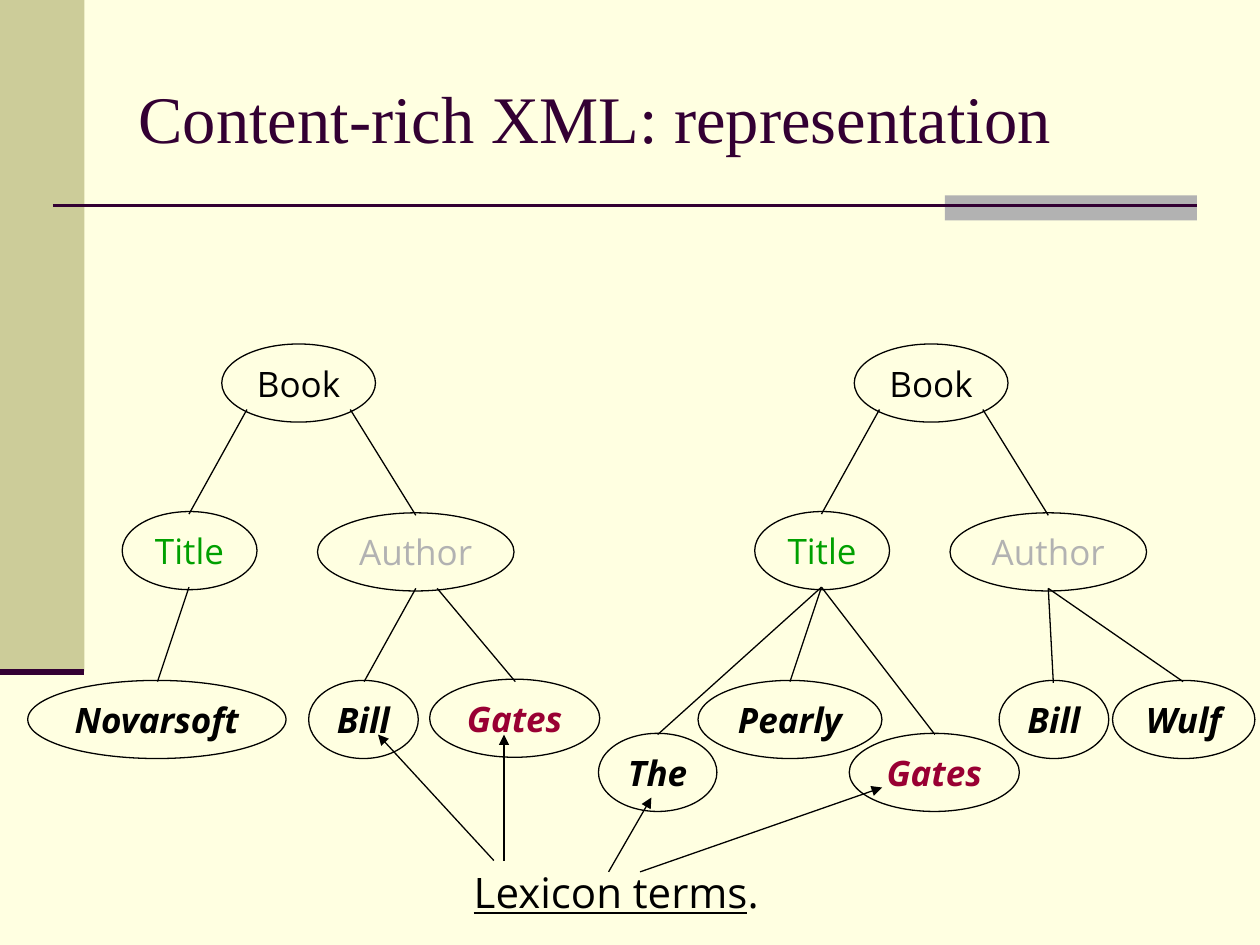
"""Build a slide that shows two book records as trees with their lexicon terms."""
from lxml.etree import SubElement
from pptx import Presentation
from pptx.dml.color import RGBColor
from pptx.enum.shapes import MSO_CONNECTOR as Connector, MSO_SHAPE as Shape
from pptx.enum.text import MSO_ANCHOR as Anchor, MSO_AUTO_SIZE as AutoSize, PP_ALIGN as Align
from pptx.oxml.ns import qn
from pptx.util import Pt

PX = 9144
COLORS = {
    "background": "FFFFE1", "sidebar": "CCCC99", "gray": "B2B2B2", "plum": "330033",
    "black": "000000", "green": "00A000", "red": "990033",
}


def write(frame, text, size=20, font="Open Sans", color="black", bold=False, italic=False,
          underline=False, align=Align.CENTER, anchor=Anchor.MIDDLE, wrap=False):
    frame.auto_size = AutoSize.NONE
    frame.word_wrap = wrap
    frame.vertical_anchor = anchor
    paragraph = frame.paragraphs[0]
    paragraph.alignment = align
    run = paragraph.add_run()
    run.text = text
    run.font.size = Pt(size)
    run.font.name = font
    run.font.bold = bold
    run.font.italic = italic
    run.font.underline = underline
    run.font.color.rgb = RGBColor.from_string(COLORS[color])


def draw_line(x1, y1, x2, y2, color="black", width=0.75, arrow=False):
    connector = slide.shapes.add_connector(
        Connector.STRAIGHT, x1 * PX, y1 * PX, x2 * PX, y2 * PX)
    connector.line.color.rgb = RGBColor.from_string(COLORS[color])
    connector.line.width = Pt(width)
    if arrow:
        SubElement(connector.line._get_or_add_ln(), qn("a:tailEnd"), type="triangle")
    SubElement(connector._element.spPr, qn("a:effectLst"))


presentation = Presentation()
presentation.slide_width = 1000 * PX
presentation.slide_height = 750 * PX
slide = presentation.slides.add_slide(presentation.slide_layouts[5])
slide.background.fill.solid()
slide.background.fill.fore_color.rgb = RGBColor.from_string(COLORS["background"])

for left, top, width, height, color in [
    (0, 0, 67, 533, "sidebar"),
    (750, 155, 200, 20, "gray"),
]:
    block = slide.shapes.add_shape(
        Shape.RECTANGLE, left * PX, top * PX, width * PX, height * PX)
    block.shadow.inherit = False
    block.fill.solid()
    block.fill.fore_color.rgb = RGBColor.from_string(COLORS[color])
    block.line.fill.background()
draw_line(42, 163, 950, 163, "plum", 1.5)
draw_line(0, 533, 67, 533, "plum", 3.5)

title = slide.shapes.title
title.left, title.top, title.width, title.height = 100 * PX, 30 * PX, 850 * PX, 125 * PX
write(title.text_frame, "Content-rich XML: representation", size=38,
      font="Times New Roman", color="plum", align=Align.LEFT, wrap=True)

nodes = [
    ("Novarsoft", 22, 540, 205, "black", True),
    ("Bill", 245, 540, 87, "black", True),
    ("Gates", 341, 539, 135, "red", True),
    ("The", 475, 582, 94, "black", True),
    ("Pearly", 554, 540, 146, "black", True),
    ("Gates", 674, 582, 135, "red", True),
    ("Bill", 793, 540, 87, "black", True),
    ("Wulf", 883, 540, 113, "black", True),
]
edges = [
    (330, 467, 289, 541), (347, 467, 409, 541),
    (652, 466, 522, 583), (652, 466, 742, 583),
    (832, 467, 836, 542), (832, 467, 939, 541),
]
for tree_left in (0, 502):
    nodes += [
        ("Book", tree_left + 176, 273, 122, "black", False),
        ("Title", tree_left + 97, 406, 107, "green", False),
        ("Author", tree_left + 252, 407, 156, "gray", False),
    ]
    edges += [
        (tree_left + 196, 325, tree_left + 150, 408),
        (tree_left + 278, 325, tree_left + 330, 409),
        (tree_left + 150, 466, tree_left + 125, 541),
    ]

for text, left, top, width, color, is_term in nodes:
    ellipse = slide.shapes.add_shape(Shape.OVAL, left * PX, top * PX, width * PX, 62 * PX)
    ellipse.shadow.inherit = False
    ellipse.fill.background()
    ellipse.line.color.rgb = RGBColor.from_string(COLORS["black"])
    ellipse.line.width = Pt(0.75)
    write(ellipse.text_frame, text, color=color, bold=is_term, italic=is_term)
for edge in edges:
    draw_line(*edge)

caption = slide.shapes.add_textbox(364 * PX, 683 * PX, 248 * PX, 50 * PX)
for text, underline in [("Lexicon terms", True), (".", False)]:
    write(caption.text_frame, text, size=24, underline=underline,
          align=Align.RIGHT, anchor=Anchor.TOP)
for pointer in [
    (400, 683, 400, 583), (392, 683, 300, 583),
    (483, 692, 517, 633), (508, 692, 700, 625),
]:
    draw_line(*pointer, arrow=True)

presentation.save("out.pptx")
